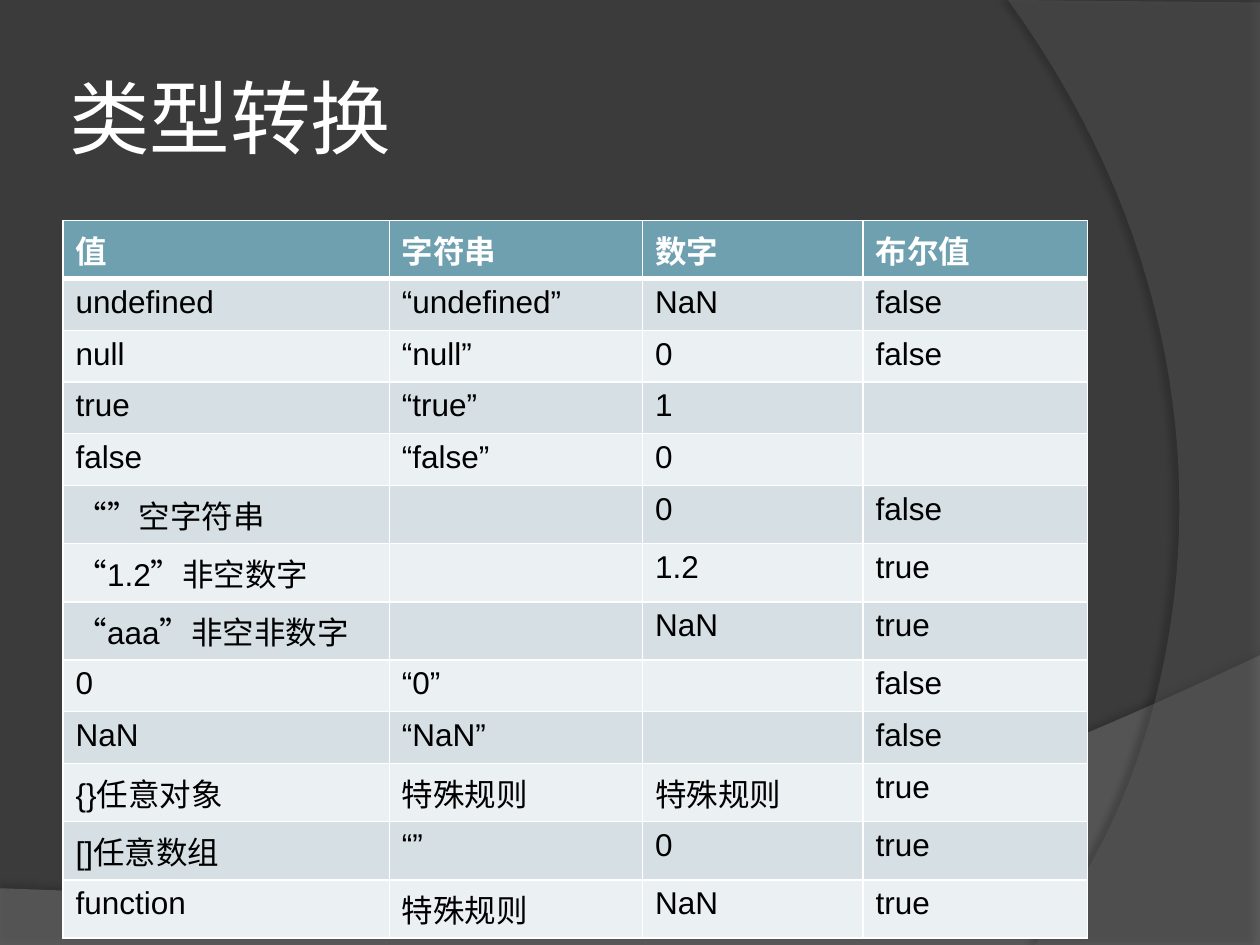
import pptx
import pptx.dml.color
import pptx.enum.text
import pptx.oxml
import pptx.oxml.ns
import pptx.util

Inches = pptx.util.Inches
COLORS = {
    "background": "3B3B3B", "wave": "7F7F7F", "arc": "5E5E5E", "white": "FFFFFF",
    "black": "000000", "header": "6EA0B0", "odd": "D5DFE4", "even": "EBF0F2",
}
COLUMN_WIDTHS = [2.59, 2.01, 1.75, 1.78]
ROW_HEIGHT = 0.41
CONVERSIONS = [
    ["值", "字符串", "数字", "布尔值"],
    ["undefined", "“undefined”", "NaN", "false"],
    ["null", "“null”", "0", "false"],
    ["true", "“true”", "1", ""],
    ["false", "“false”", "0", ""],
    ["“”空字符串", "", "0", "false"],
    ["“1.2”非空数字", "", "1.2", "true"],
    ["“aaa”非空非数字", "", "NaN", "true"],
    ["0", "“0”", "", "false"],
    ["NaN", "“NaN”", "", "false"],
    ["{}任意对象", "特殊规则", "特殊规则", "true"],
    ["[]任意数组", "“”", "0", "true"],
    ["function", "特殊规则", "NaN", "true"],
]


def rgb(name):
    return pptx.dml.color.RGBColor.from_string(COLORS[name])


def make_element(tag, attributes, content):
    namespace = pptx.oxml.ns.nsdecls("a")
    return pptx.oxml.parse_xml(f"<a:{tag} {namespace} {attributes}>{content}</a:{tag}>")


def color_xml(name, alpha=100):
    return f'<a:srgbClr val="{COLORS[name]}"><a:alpha val="{alpha * 1000}"/></a:srgbClr>'


def bezier(start, control_1, control_2, end, steps=48):
    points = []
    for step in range(steps + 1):
        t = step / steps
        weights = ((1 - t) ** 3, 3 * t * (1 - t) ** 2, 3 * t ** 2 * (1 - t), t ** 3)
        corners = (start, control_1, control_2, end)
        points.append(tuple(sum(w * c[axis] for w, c in zip(weights, corners)) for axis in (0, 1)))
    return points


class SlideBuilder:
    """Holds the text style and the current slide, and adds each kind of element."""

    def __init__(self, presentation):
        self.title_font = {"name": "Karla", "size": pptx.util.Pt(46), "bold": False}
        self.table_font = {"name": "Arial", "size": pptx.util.Pt(18)}
        self.slide = presentation.slides.add_slide(presentation.slide_layouts[5])
        self.slide.background.fill.solid()
        self.slide.background.fill.fore_color.rgb = rgb("background")

    def add_text(self, text_frame, text, color, font_format):
        paragraph = text_frame.paragraphs[0]
        paragraph.alignment = pptx.enum.text.PP_ALIGN.LEFT
        run = paragraph.add_run()
        run.text = text
        for name, value in font_format.items():
            setattr(run.font, name, value)
        run.font.color.rgb = rgb(color)

    def add_band(self, points, color, alpha, shadow_alpha, distance, direction):
        vertices = [(Inches(x), Inches(y)) for x, y in points]
        builder = self.slide.shapes.build_freeform(*vertices[0])
        builder.add_line_segments(vertices[1:], close=True)
        shape = builder.convert_to_shape()
        shape.fill.solid()
        shape.fill.fore_color.rgb = rgb(color)
        fill_color = shape.element.spPr.find(".//" + pptx.oxml.ns.qn("a:srgbClr"))
        fill_color.append(make_element("alpha", f'val="{alpha * 1000}"', ""))
        shape.line.fill.background()
        shape.shadow.inherit = False
        effects = shape.element.spPr.find(pptx.oxml.ns.qn("a:effectLst"))
        attributes = (
            f'blurRad="{pptx.util.Pt(4)}" dist="{pptx.util.Pt(distance)}" '
            f'dir="{direction * 60000}" rotWithShape="0"'
        )
        effects.append(make_element("outerShdw", attributes, color_xml("black", shadow_alpha)))

    def add_title(self, text, left, top, width, height):
        title = self.slide.shapes.title
        title.element.getparent().append(title.element)
        bounds = {"left": left, "top": top, "width": width, "height": height}
        for name, value in bounds.items():
            setattr(title, name, Inches(value))
        frame_format = {
            "word_wrap": True,
            "auto_size": pptx.enum.text.MSO_AUTO_SIZE.NONE,
            "vertical_anchor": pptx.enum.text.MSO_ANCHOR.MIDDLE,
        }
        for side in ("left", "top", "right", "bottom"):
            frame_format[f"margin_{side}"] = Inches(0.05)
        for name, value in frame_format.items():
            setattr(title.text_frame, name, value)
        self.add_text(title.text_frame, text, "white", self.title_font)

    def format_cell(self, cell, fill, bottom_width, top_width):
        properties = cell._tc.get_or_add_tcPr()
        widths = {"lnL": 1, "lnR": 1, "lnT": top_width, "lnB": bottom_width}
        for tag, width in widths.items():
            content = f"<a:solidFill>{color_xml('white')}</a:solidFill>"
            properties.append(make_element(tag, f'w="{pptx.util.Pt(width)}"', content))
        cell.fill.solid()
        cell.fill.fore_color.rgb = rgb(fill)

    def add_table(self, rows, left, top, column_widths, row_height):
        frame = self.slide.shapes.add_table(
            len(rows), len(column_widths), Inches(left), Inches(top),
            Inches(sum(column_widths)), Inches(row_height * len(rows)),
        )
        table = frame.table
        for column, width in zip(table.columns, column_widths):
            column.width = Inches(width)
        for row_index, values in enumerate(rows):
            table.rows[row_index].height = Inches(row_height)
            is_header = row_index == 0
            fill = "header" if is_header else ("even", "odd")[row_index % 2]
            font_format = {**self.table_font, "bold": is_header}
            for column_index, text in enumerate(values):
                cell = table.cell(row_index, column_index)
                self.format_cell(cell, fill, 3 if is_header else 1, 3 if row_index == 1 else 1)
                if text:
                    color = "white" if is_header else "black"
                    self.add_text(cell.text_frame, text, color, font_format)


def main():
    presentation = pptx.Presentation()
    presentation.slide_width = Inches(10)
    presentation.slide_height = Inches(7.5)
    builder = SlideBuilder(presentation)
    wave = [(0, 7.51), (10, 7.51)] + bezier((10, 5.2), (5.59, 7.29), (3.91, 7.19), (0, 7.05))
    arc = [(10, 0.02), (10, 7.5)] + bezier((8.21, 7.5), (9.35, 6.19), (10.18, 3), (8, 0))
    builder.add_band(wave, "wave", 45, 35, 3.5, 270)
    builder.add_band(arc, "arc", 40, 45, 4, 180)
    builder.add_title("类型转换", 0.5, 0.3, 8.17, 1.25)
    builder.add_table(CONVERSIONS, 0.5, 1.75, COLUMN_WIDTHS, ROW_HEIGHT)
    presentation.save("out.pptx")


if __name__ == "__main__":
    main()
